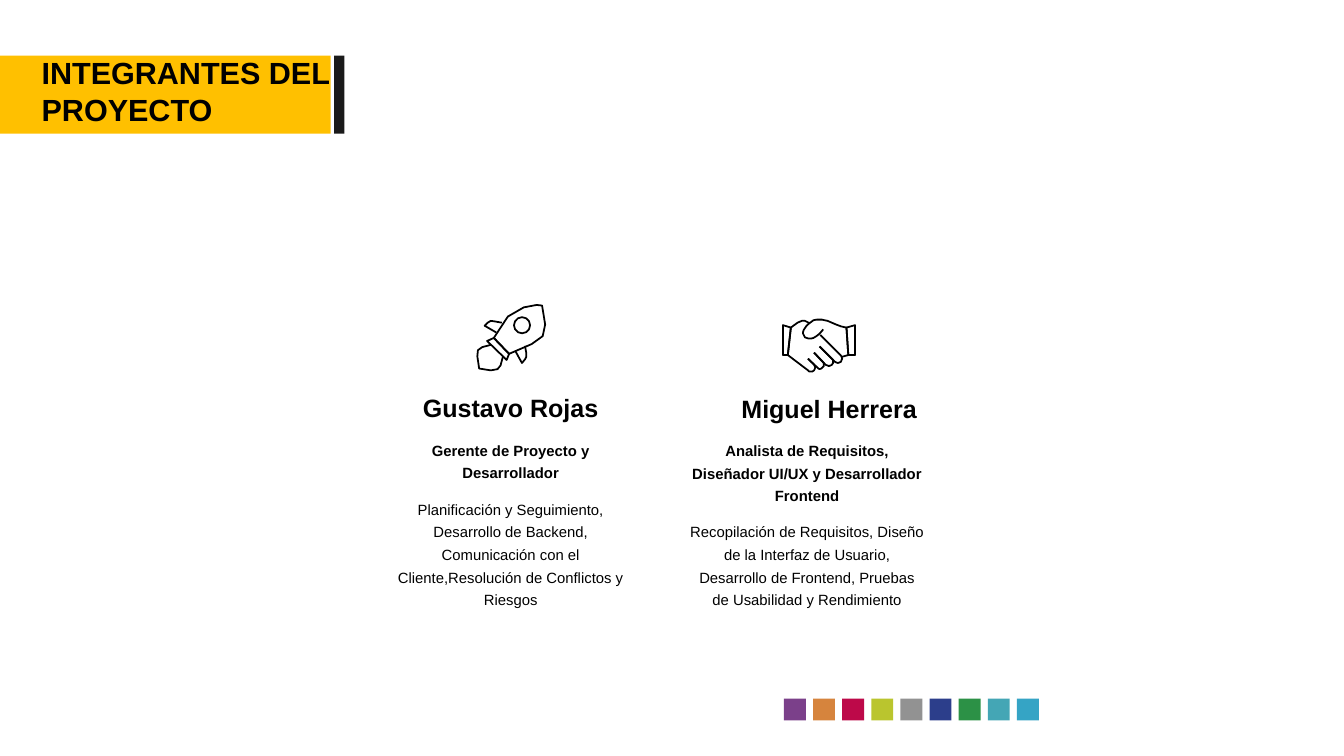
from dataclasses import dataclass

from pptx import Presentation
from pptx.dml.color import RGBColor
from pptx.enum.shapes import MSO_SHAPE
from pptx.enum.text import MSO_ANCHOR, MSO_AUTO_SIZE, PP_ALIGN
from pptx.util import Pt


@dataclass(frozen=True)
class Theme:
    font: str = "Arial"
    ink: str = "000000"
    banner: str = "FFC000"
    banner_edge: str = "1A1A1A"
    swatches: tuple = ("7B408A", "D6843D", "BD0949", "BAC52E", "929292",
                       "2C3E8B", "2C9146", "44A6B5", "35A4C5")
    title_size: float = 36
    name_size: float = 29.5
    body_size: float = 17.5
    icon_line: float = 2.06
    icon_unit: float = 0.72
    body_spacing: float = 1.27
    body_gap: float = 16.2


# Icon outlines: (closed, points), in icon units from the icon's origin.
ROCKET = [
    (True, [(28, 63), (51, 28), (77, 13), (98, 9), (107, 10), (112, 41),
            (108, 60), (90, 73), (53, 89)]),
    (True, [(53, 89), (28, 63), (17, 68), (49, 99)]),
    (False, [(79, 76), (81, 87), (81, 94), (79, 98), (74, 104), (63, 84)]),
    (False, [(41, 38), (30, 36), (23, 35), (18, 38), (13, 43), (32, 54)]),
    (False, [(43, 93), (39, 108), (34, 114), (23, 116), (4, 113), (1, 93),
             (2, 83), (9, 78), (24, 74)]),
]
HANDSHAKE = [
    (False, [(62, 28), (96, 62), (97, 64), (98, 67), (97, 69), (96, 72),
             (94, 73), (91, 74), (88, 73), (86, 72), (61, 47)]),
    (False, [(61, 47), (81, 67), (83, 69), (83, 72), (83, 74), (81, 77),
             (79, 78), (76, 79), (74, 78), (71, 77), (52, 57)]),
    (False, [(52, 57), (66, 72), (68, 74), (68, 77), (68, 79), (66, 81),
             (64, 83), (61, 84), (59, 83), (57, 81), (42, 67)]),
    (False, [(42, 67), (52, 77), (53, 79), (54, 81), (53, 84), (52, 86),
             (49, 88), (47, 88), (44, 88), (42, 86), (9, 61), (14, 16),
             (25, 8), (32, 5), (37, 5), (45, 9)]),
    (False, [(67, 19), (61, 26), (56, 30), (51, 33), (47, 34), (43, 34),
             (37, 32), (34, 26), (34, 23), (35, 20), (39, 14), (43, 10),
             (47, 7), (51, 4), (56, 3), (60, 3), (65, 3), (69, 4), (74, 5),
             (88, 11), (96, 14), (100, 15), (105, 16), (108, 61), (97, 64)]),
    (True, [(119, 61), (108, 61), (105, 16), (119, 12)]),
    (True, [(1, 61), (9, 61), (14, 16), (1, 12)]),
]


class SlideBuilder:
    def __init__(self, page, theme):
        self.page = page
        self.theme = theme

    def style_font(self, para, size, bold):
        for span in para.runs:
            span.font.name = self.theme.font
            span.font.size = Pt(size)
            span.font.bold = bold
            span.font.color.rgb = RGBColor.from_string(self.theme.ink)

    def prepare_frame(self, frame, top_inset=0):
        frame.margin_left = frame.margin_right = frame.margin_bottom = 0
        frame.margin_top = Pt(top_inset)
        frame.word_wrap = True
        frame.vertical_anchor = MSO_ANCHOR.TOP
        frame.auto_size = MSO_AUTO_SIZE.SHAPE_TO_FIT_TEXT

    def title(self, text, left, top, width, height):
        box = self.page.shapes.title
        box.left, box.top, box.width, box.height = map(Pt, (left, top, width, height))
        self.prepare_frame(box.text_frame)
        box.text_frame.text = text
        para = box.text_frame.paragraphs[0]
        para.alignment = PP_ALIGN.LEFT
        self.style_font(para, self.theme.title_size, True)
        # The title must lie in front of its banner.
        box.element.getparent().append(box.element)

    def block(self, colour, left, top, width, height):
        shape = self.page.shapes.add_shape(
            MSO_SHAPE.RECTANGLE, *map(Pt, (left, top, width, height)))
        shape.shadow.inherit = False
        shape.fill.solid()
        shape.fill.fore_color.rgb = RGBColor.from_string(colour)
        shape.line.fill.background()

    def outline(self, shape):
        shape.shadow.inherit = False
        shape.fill.background()
        shape.line.color.rgb = RGBColor.from_string(self.theme.ink)
        shape.line.width = Pt(self.theme.icon_line)

    def icon(self, strokes, left, top):
        for closed, points in strokes:
            builder = self.page.shapes.build_freeform(
                *points[0], scale=Pt(self.theme.icon_unit))
            builder.add_line_segments(points[1:], close=closed)
            self.outline(builder.convert_to_shape(Pt(left), Pt(top)))

    def ring(self, left, top, size):
        self.outline(self.page.shapes.add_shape(
            MSO_SHAPE.OVAL, Pt(left), Pt(top), Pt(size), Pt(size)))

    def member(self, name, role, tasks, left, top, width, height, name_indent=None):
        """Add name, role and tasks; an indented name is left-aligned."""
        box = self.page.shapes.add_textbox(*map(Pt, (left, top, width, height)))
        frame = box.text_frame
        self.prepare_frame(frame, top_inset=1.44)
        frame.text = "\n".join((name, role, tasks))
        heading, *details = frame.paragraphs
        heading.alignment = PP_ALIGN.CENTER
        if name_indent:
            heading.alignment = PP_ALIGN.LEFT
            heading._p.get_or_add_pPr().set("marL", str(Pt(name_indent)))
        self.style_font(heading, self.theme.name_size, True)
        for para, bold in zip(details, (True, False)):
            para.alignment = PP_ALIGN.CENTER
            para.line_spacing = self.theme.body_spacing
            para.space_before = Pt(self.theme.body_gap)
            self.style_font(para, self.theme.body_size, bold)


def main():
    deck = Presentation()
    deck.slide_width, deck.slide_height = Pt(1583.28), Pt(890.64)
    theme = Theme()
    slide = SlideBuilder(deck.slides.add_slide(deck.slide_layouts[5]), theme)

    slide.block(theme.banner, 0, 65.5, 389.5, 92)
    slide.block(theme.banner_edge, 393.6, 65.5, 12, 92)
    slide.title("INTEGRANTES DEL PROYECTO", 49, 64, 342, 87)

    for index, colour in enumerate(theme.swatches):
        slide.block(colour, 923.6 + 34.3 * index, 823, 25.8, 25.8)

    slide.member(
        "Gustavo Rojas",
        "Gerente de Proyecto y Desarrollador",
        "Planificación y Seguimiento, Desarrollo de Backend, Comunicación con el "
        "Cliente,Resolución de Conflictos y Riesgos",
        463, 461.5, 277.2, 252)
    slide.member(
        "Miguel Herrera",
        "Analista de Requisitos, Diseñador UI/UX y Desarrollador Frontend",
        "Recopilación de Requisitos, Diseño de la Interfaz de Usuario, "
        "Desarrollo de Frontend, Pruebas de Usabilidad y Rendimiento",
        812.2, 461.5, 277.2, 339, name_indent=61.2)

    slide.icon(ROCKET, 561.6, 352.8)
    slide.ring(605.5, 373.7, 19)
    slide.icon(HANDSHAKE, 921.6, 374.4)

    deck.save("out.pptx")


if __name__ == "__main__":
    main()
